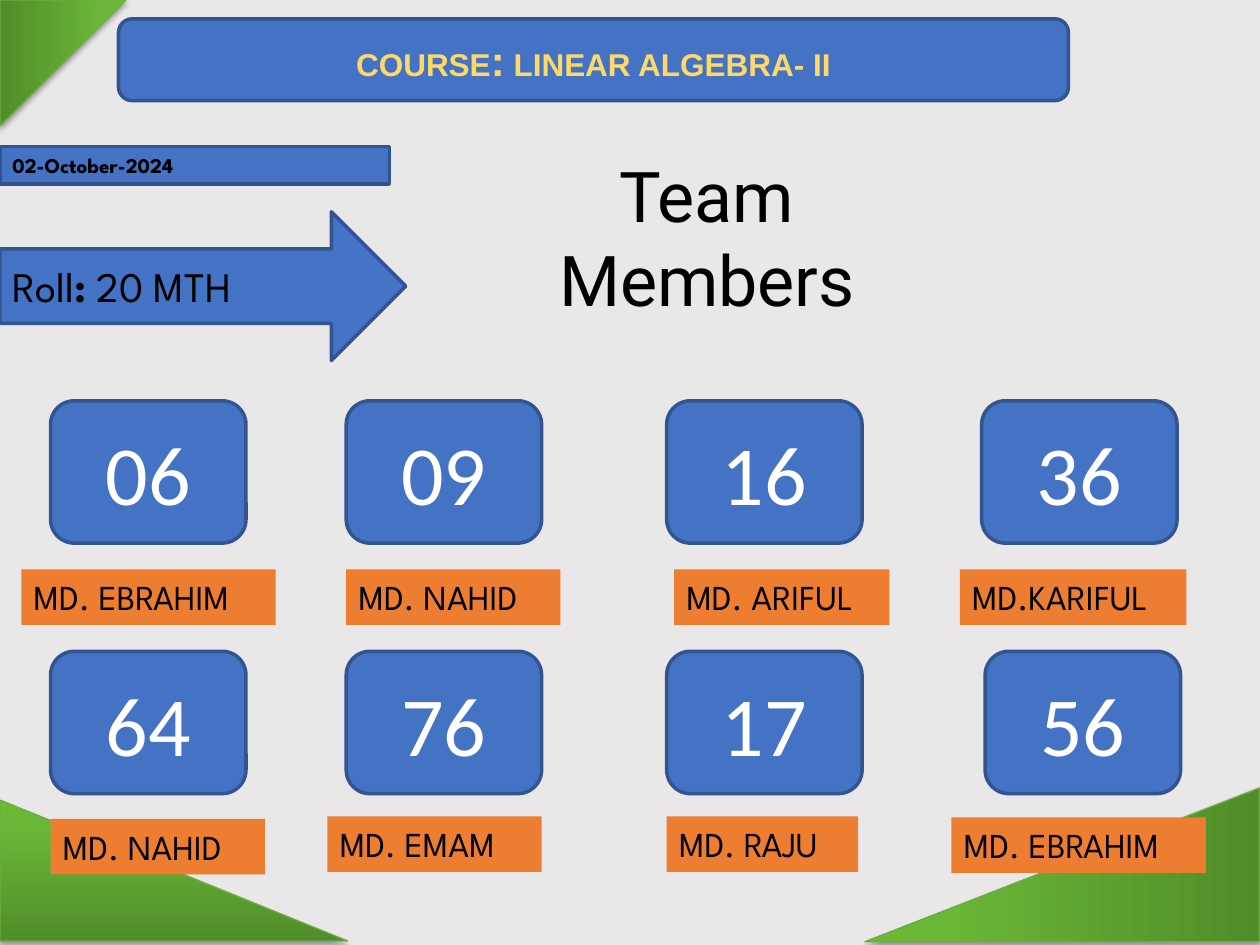
"""Build the team members slide for a linear algebra course."""
from dataclasses import dataclass

from lxml import etree
from pptx import Presentation
from pptx import util as u
from pptx.dml.color import RGBColor
from pptx.enum import shapes, text
from pptx.oxml.ns import qn

COLOURS = {
    "background": "E9E7E7", "blue": "4472C4", "border": "325491",
    "orange": "ED7D31", "gold": "FFD966", "black": "000000", "white": "FFFFFF",
    "leaf_dark": "518D2A", "leaf_mid": "6AB636", "leaf_light": "6ABA34",
    "leaf_edge": "6DAC43",
}
SHAPE = shapes.MSO_SHAPE
LEFT, CENTER = text.PP_ALIGN.LEFT, text.PP_ALIGN.CENTER
TOP, MIDDLE = text.MSO_ANCHOR.TOP, text.MSO_ANCHOR.MIDDLE


@dataclass
class Frame:
    """Position and size in centimetres."""
    left: float
    top: float
    width: float
    height: float

    def lengths(self) -> list:
        return [u.Cm(n) for n in (self.left, self.top, self.width, self.height)]


@dataclass
class Style:
    """Text formatting shared by a whole paragraph."""
    font: str
    size: float
    colour: str
    bold: bool = False
    align: int = LEFT
    anchor: int = TOP


@dataclass
class Member:
    """Roll number and name with the places of both boxes."""
    roll: str
    name: str
    roll_left: float
    roll_top: float
    name_left: float
    name_top: float
    name_width: float


HEADER = Style("Arial", 18, "gold", True, CENTER, MIDDLE)
TITLE = Style("Roboto", 40, "black", align=CENTER)
DATE = Style("League Spartan", 12, "black", True)
ROLL = Style("League Spartan", 24, "black", anchor=MIDDLE)
NUMBER = Style("Calibri", 48, "white", align=CENTER, anchor=MIDDLE)
NAME = Style("League Spartan", 20, "black")

MEMBERS = [
    Member("06", "MD. EBRAHIM", 1.02, 8.08, 0.43, 11.48, 5.13),
    Member("09", "MD. NAHID", 6.98, 8.08, 6.98, 11.48, 4.32),
    Member("16", "MD. ARIFUL", 13.44, 8.08, 13.59, 11.48, 4.34),
    Member("36", "MD.KARIFUL", 19.79, 8.08, 19.35, 11.48, 4.57),
    Member("64", "MD. NAHID", 1.02, 13.13, 1.02, 16.51, 4.32),
    Member("76", "MD. EMAM", 6.98, 13.13, 6.6, 16.46, 4.32),
    Member("17", "MD. RAJU", 13.44, 13.13, 13.44, 16.46, 3.86),
    Member("56", "MD. EBRAHIM", 19.86, 13.13, 19.18, 16.48, 5.13),
]
CORNERS = [
    (Frame(19.86, 13.46, 3.1, 7.95), 270),
    (Frame(0, 16.13, 7.01, 2.84), 0),
    (Frame(0, 0, 2.54, 2.54), 90),
]


def rgb(name: str) -> RGBColor:
    """Look up a named colour."""
    return RGBColor.from_string(COLOURS[name])


def write(shape, parts: list, style: Style) -> list:
    """Fill a shape with one paragraph and return its spans."""
    frame = shape.text_frame
    frame.word_wrap = True
    frame.auto_size = text.MSO_AUTO_SIZE.NONE
    frame.vertical_anchor = style.anchor
    para = frame.paragraphs[0]
    para.alignment = style.align
    para.line_spacing = 1.0
    para.font.name = style.font
    para.font.size = u.Pt(style.size)
    para.font.bold = style.bold
    para.font.color.rgb = rgb(style.colour)
    spans = []
    for part in parts:
        span = para.add_run()
        span.text = part
        spans.append(span)
    return spans


def add_box(page, kind, frame: Frame, parts: list, style: Style,
            fill: str = "blue", border: bool = True) -> list:
    """Draw a filled shape with text and return its spans."""
    box = page.shapes.add_shape(kind, *frame.lengths())
    box.shadow.inherit = False
    box.fill.solid()
    box.fill.fore_color.rgb = rgb(fill)
    if border:
        box.line.color.rgb = rgb("border")
        box.line.width = u.Pt(2)
    else:
        box.line.fill.background()
    return write(box, parts, style)


def add_colour(parent, name: str):
    """Append a colour element and return it."""
    return etree.SubElement(parent, qn("a:srgbClr"), val=COLOURS[name])


def add_corner(page, frame: Frame, rotation: float) -> None:
    """Draw a green corner triangle with a gradient and a soft shadow."""
    corner = page.shapes.add_shape(SHAPE.RIGHT_TRIANGLE, *frame.lengths())
    corner.rotation = rotation
    corner.line.color.rgb = rgb("leaf_edge")
    corner.line.width = u.Pt(0.75)
    corner.shadow.inherit = False
    properties = corner.element.spPr
    gradient = etree.Element(qn("a:gradFill"), rotWithShape="1")
    stops = etree.SubElement(gradient, qn("a:gsLst"))
    for place, name in ((0, "leaf_dark"), (80, "leaf_mid"), (100, "leaf_light")):
        add_colour(etree.SubElement(stops, qn("a:gs"), pos=str(place * 1000)), name)
    etree.SubElement(gradient, qn("a:lin"), ang="16200000", scaled="0")
    properties.find(qn("a:ln")).addprevious(gradient)
    shadow = etree.SubElement(properties.find(qn("a:effectLst")), qn("a:outerShdw"),
                              blurRad="40000", dist="23000", dir="5400000",
                              rotWithShape="0")
    etree.SubElement(add_colour(shadow, "black"), qn("a:alpha"), val="35000")


def add_member(page, member: Member) -> None:
    """Draw a roll number badge and its name label."""
    badge = Frame(member.roll_left, member.roll_top, 3.94, 2.87)
    label = Frame(member.name_left, member.name_top, member.name_width, 1.12)
    add_box(page, SHAPE.ROUNDED_RECTANGLE, badge, [member.roll], NUMBER)
    add_box(page, SHAPE.RECTANGLE, label, [member.name], NAME, "orange", False)


def main() -> None:
    """Assemble and save the deck."""
    deck = Presentation()
    deck.slide_width, deck.slide_height = u.Cm(25.4), u.Cm(19.05)
    page = deck.slides.add_slide(deck.slide_layouts.get_by_name("Title Only"))
    page.background.fill.solid()
    page.background.fill.fore_color.rgb = rgb("background")

    title = page.shapes.title
    title.left, title.top, title.width, title.height = Frame(10.75, 2.95, 7, 3.7).lengths()
    write(title, ["Team Members"], TITLE)

    for frame, rotation in CORNERS:
        add_corner(page, frame, rotation)
    header = add_box(page, SHAPE.ROUNDED_RECTANGLE, Frame(2.39, 0.38, 19.15, 1.65),
                     ["COURSE", ":", " LINEAR ALGEBRA- II"], HEADER)
    header[1].font.size = u.Pt(24)
    add_box(page, SHAPE.RECTANGLE, Frame(0, 2.95, 7.85, 0.76), ["02-October-2024"], DATE)
    roll = add_box(page, SHAPE.RIGHT_ARROW, Frame(0, 4.27, 8.18, 3),
                   ["Roll", ":", " 20 MTH"], ROLL)
    roll[1].font.bold = True
    for member in MEMBERS:
        add_member(page, member)
    deck.save("out.pptx")


if __name__ == "__main__":
    main()
